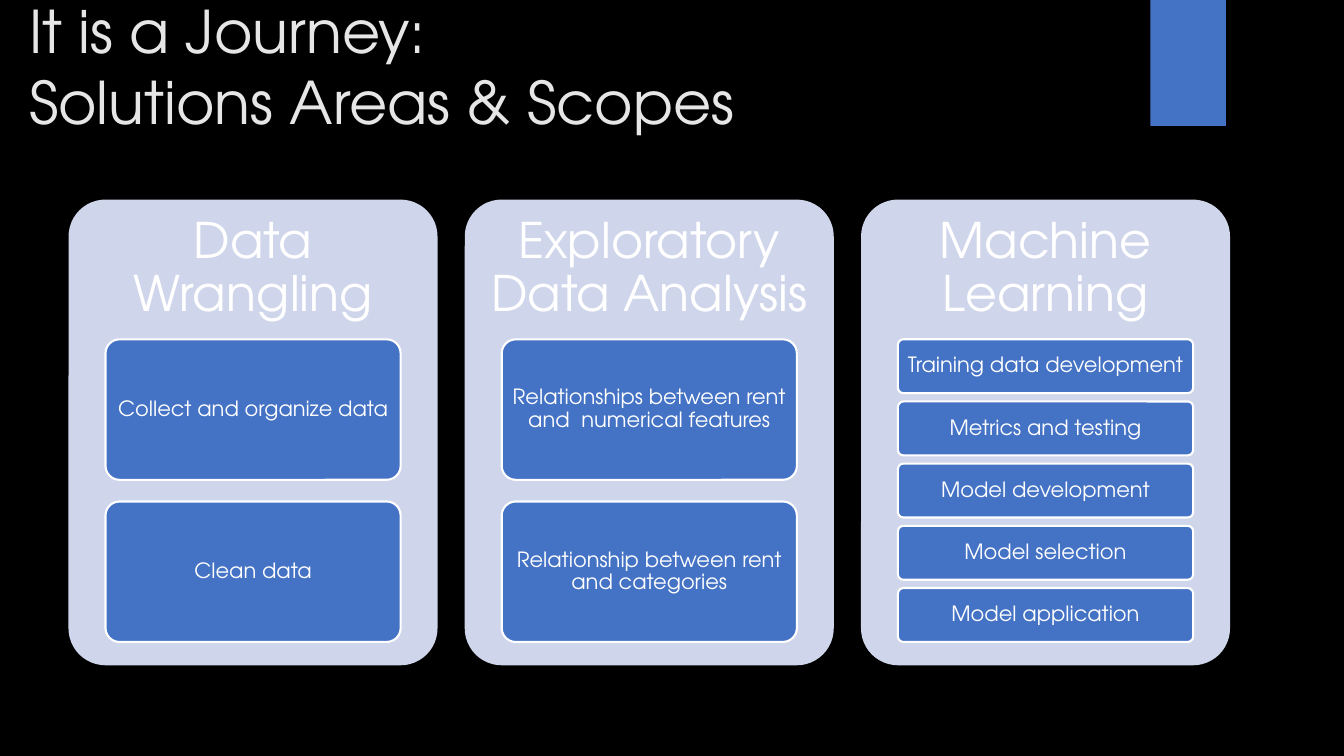
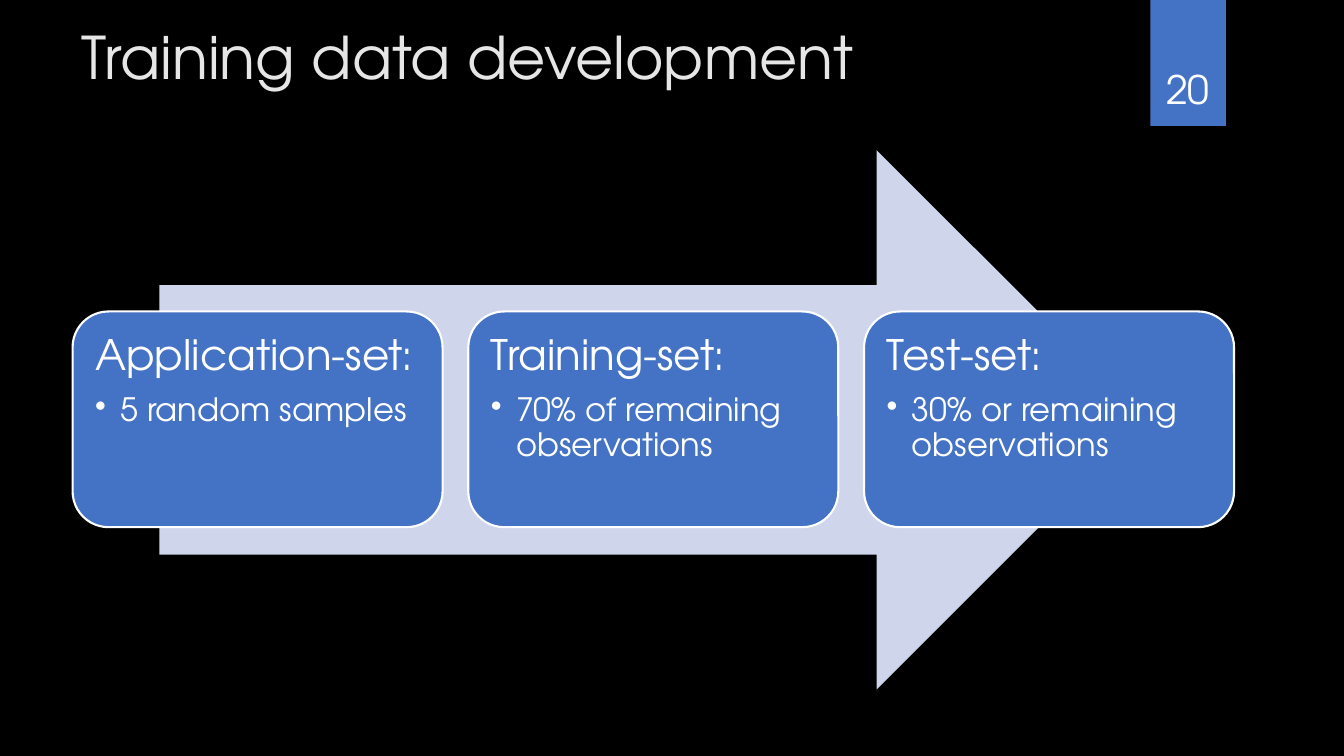
from pptx import Presentation
from pptx.dml.color import RGBColor
from pptx.enum.shapes import MSO_SHAPE
from pptx.enum.text import MSO_ANCHOR, PP_ALIGN
from pptx.oxml.xmlchemy import OxmlElement
from pptx.util import Inches, Pt

RECT, ROUNDED, ARROW = MSO_SHAPE.RECTANGLE, MSO_SHAPE.ROUNDED_RECTANGLE, MSO_SHAPE.RIGHT_ARROW
TOP, MIDDLE, BOTTOM = MSO_ANCHOR.TOP, MSO_ANCHOR.MIDDLE, MSO_ANCHOR.BOTTOM
LEFT, CENTER = PP_ALIGN.LEFT, PP_ALIGN.CENTER
FONT = "TeX Gyre Adventor"
COLORS = {"background": "000000", "title": "E7E6E6", "accent": "4472C4",
          "panel": "CFD5EA", "text": "FFFFFF"}


def add_block(slide, kind, box, color, outlined=False, radius=None):
    block = slide.shapes.add_shape(kind, *map(Inches, box))
    block.shadow.inherit = False
    block.fill.solid()
    block.fill.fore_color.rgb = RGBColor.from_string(COLORS[color])
    if outlined:
        block.line.color.rgb = RGBColor.from_string(COLORS["text"])
        block.line.width = Pt(1.5)
    else:
        block.line.fill.background()
    if radius is not None:
        block.adjustments[0] = radius
    return block


def write(holder, text, size, color="text", align=LEFT, anchor=TOP,
          insets=(0.1, 0.05), spacing=0.9, after=0, bullet=False):
    frame = holder.text_frame
    frame.word_wrap = True
    frame.vertical_anchor = anchor
    frame.margin_left = frame.margin_right = Inches(insets[0])
    frame.margin_top = frame.margin_bottom = Inches(insets[1])
    paragraph = frame.add_paragraph() if frame.text else frame.paragraphs[0]
    paragraph.text = text
    paragraph.alignment = align
    paragraph.line_spacing = spacing
    paragraph.space_after = Pt(after)
    if bullet:
        paragraph.level = 1
        properties = paragraph._p.get_or_add_pPr()
        properties.set("marL", str(Inches(0.25)))
        properties.set("indent", str(-Inches(0.25)))
        mark = OxmlElement("a:buChar")
        mark.set("char", "•")
        properties.append(mark)
    for run in paragraph.runs:
        run.font.name = FONT
        run.font.size = Pt(size)
        run.font.color.rgb = RGBColor.from_string(COLORS[color])


prs = Presentation()
prs.slide_width, prs.slide_height = Inches(13.33), Inches(7.5)
master_fill = prs.slide_master.background.fill
master_fill.solid()
master_fill.fore_color.rgb = RGBColor.from_string(COLORS["background"])

# Shared parts: title and ribbon
titles = [
    ("It is a Journey:\vSolutions Areas & Scopes", (0.19, -0.1, 12.51, 1.66)),
    ("Training data development", (0.71, 0.16, 10.29, 1.25)),
]
slides = []
for title, title_box in titles:
    slide = prs.slides.add_slide(prs.slide_layouts[6])
    add_block(slide, RECT, (11.41, 0, 0.75, 1.25), "accent")
    heading = slide.shapes.add_textbox(*map(Inches, title_box))
    write(heading, title, 42, color="title", spacing=1)
    slides.append(slide)
journey, training = slides

# Solution areas: three columns, each split into equal rows of tasks
areas = {
    "Data Wrangling": ["Collect and organize data", "Clean data"],
    "Exploratory Data Analysis": ["Relationships between rent and  numerical features",
                                  "Relationship between rent and categories"],
    "Machine Learning": ["Training data development", "Metrics and testing",
                         "Model development", "Model selection", "Model application"],
}
AREA_LEFT, AREA_TOP, AREA_WIDTH, AREA_HEIGHT, AREA_PITCH = 0.68, 1.98, 3.66, 4.62, 3.93
HEAD_HEIGHT = 0.3 * AREA_HEIGHT
TASKS_HEIGHT = 0.65 * AREA_HEIGHT
GAP_SHARE = 0.154  # gap between tasks as a share of task height

for column, (area, tasks) in enumerate(areas.items()):
    left = AREA_LEFT + column * AREA_PITCH
    add_block(journey, ROUNDED, (left, AREA_TOP, AREA_WIDTH, AREA_HEIGHT), "panel", radius=0.1)
    area_head = journey.shapes.add_textbox(
        *map(Inches, (left, AREA_TOP, AREA_WIDTH, HEAD_HEIGHT)))
    write(area_head, area, 35, align=CENTER, anchor=MIDDLE, insets=(0.15, 0.15))

    task_height = TASKS_HEIGHT / (len(tasks) + GAP_SHARE * (len(tasks) - 1))
    for row, task in enumerate(tasks):
        top = AREA_TOP + HEAD_HEIGHT + row * task_height * (1 + GAP_SHARE)
        task_box = (left + 0.1 * AREA_WIDTH, top, 0.8 * AREA_WIDTH, task_height)
        task_block = add_block(journey, ROUNDED, task_box, "accent", outlined=True, radius=0.1)
        write(task_block, task, 15, align=CENTER, anchor=MIDDLE, insets=(0.04, 0.03))

# Data sets along the arrow
data_sets = [
    ("Application-set:", "5 random samples"),
    ("Training-set:", "70% of remaining observations"),
    ("Test-set:", "30% or remaining observations"),
]
SET_LEFT, SET_TOP, SET_WIDTH, SET_HEIGHT, SET_GAP = 0.72, 3.09, 3.67, 2.14, 0.255

add_block(training, ARROW, (1.58, 1.49, 9.79, 5.35), "panel")
for column, (set_name, share) in enumerate(data_sets):
    left = SET_LEFT + column * (SET_WIDTH + SET_GAP)
    card = add_block(training, ROUNDED, (left, SET_TOP, SET_WIDTH, SET_HEIGHT),
                     "accent", outlined=True)
    write(card, set_name, 30, insets=(0.12, 0.12), after=10.5)
    write(card, share, 23, insets=(0.12, 0.12), after=3.5, bullet=True)

# Page number on the ribbon
page_number = training.shapes.add_textbox(*map(Inches, (11.32, 0.32, 0.92, 0.84)))
write(page_number, "20", 28, align=CENTER, anchor=BOTTOM, spacing=1)

prs.save("out.pptx")
